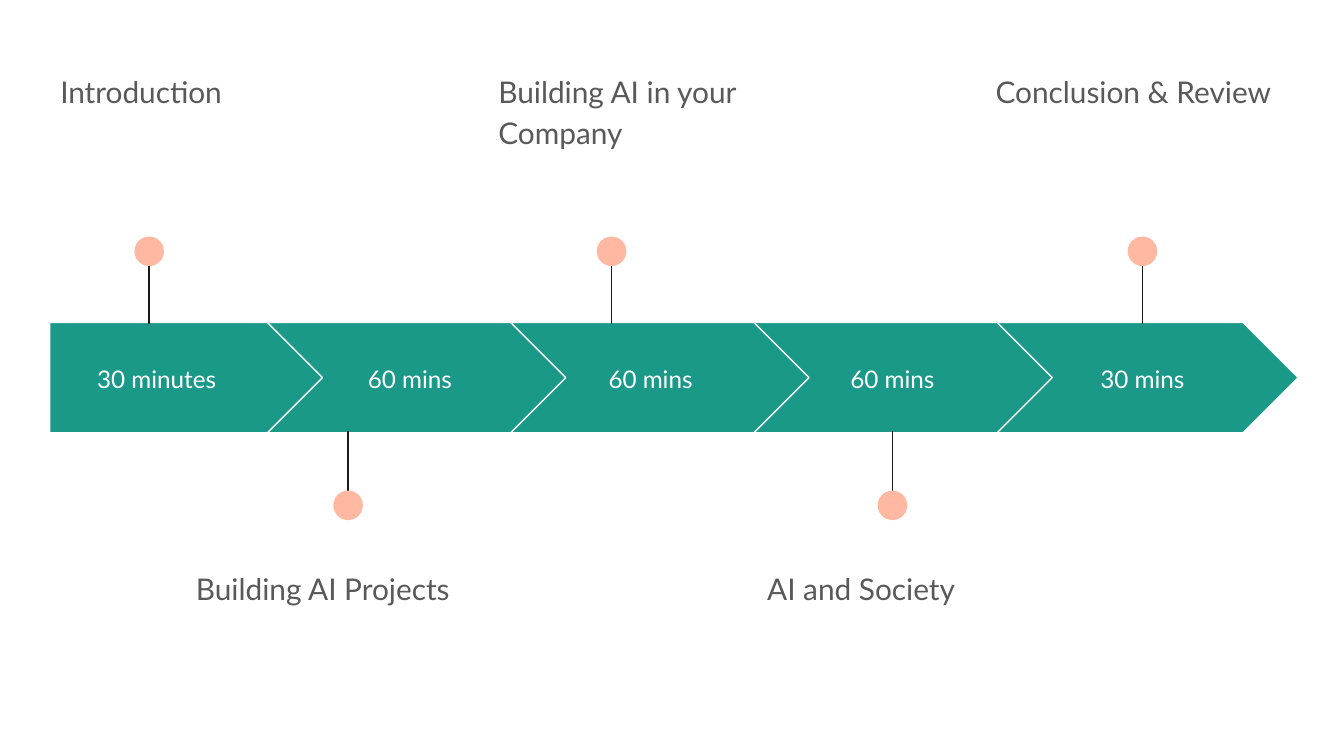
from pptx import Presentation
from pptx.dml.color import RGBColor
from pptx.enum.shapes import MSO_CONNECTOR as Connector, MSO_SHAPE as Shape
from pptx.enum.text import MSO_ANCHOR as Anchor, PP_ALIGN as Align
from pptx.oxml.ns import qn
from pptx.util import Inches, Pt

STAGES = [
    {"title": "Introduction", "duration": "30 minutes",
     "title_left": 0.35, "duration_left": 0.37, "pin": 1.11},
    {"title": "Building AI Projects", "duration": "60 mins",
     "title_left": 1.36, "duration_left": 2.33, "pin": 2.59},
    {"title": "Building AI in your Company", "duration": "60 mins",
     "title_left": 3.61, "duration_left": 4.12, "pin": 4.55},
    {"title": "AI and Society", "duration": "60 mins",
     "title_left": 5.61, "duration_left": 5.92, "pin": 6.64},
    {"title": "Conclusion & Review", "duration": "30 mins",
     "title_left": 7.31, "duration_left": 7.78, "pin": 8.5},
]
WIDTH = 10
HEIGHT = WIDTH * 9 / 16
TEAL, PEACH, WHITE, INK, GREY = "1A9988", "FFB8A2", "FFFFFF", "1A1A1A", "595959"
BAND_TOP, BAND_HEIGHT = 2.4, 0.82
FIRST_LEFT, FIRST_WIDTH = 0.37, 2.05
CHEVRON_LEFT, CHEVRON_WIDTH, CHEVRON_STEP = 1.99, 2.24, 1.81
DOT = 0.22
ABOVE = {"title_top": 0.41, "dot_top": 1.76, "start": 1.8, "end": 2.41}
BELOW = {"title_top": 4.11, "dot_top": 3.65, "start": 3.82, "end": 3.21}
TITLE = {"size": 16, "color": GREY, "anchor": Anchor.TOP,
         "format": {"alignment": Align.LEFT, "line_spacing": 1.15, "space_after": Pt(16)}}
DURATION = {"size": 13, "color": WHITE, "anchor": Anchor.MIDDLE,
            "format": {"alignment": Align.CENTER}}


def rgb(value):
    return RGBColor.from_string(value)


def add_filled(slide, kind, box, fill, outline=None):
    shape = slide.shapes.add_shape(kind, *map(Inches, box))
    shape.shadow.inherit = False
    shape.fill.solid()
    shape.fill.fore_color.rgb = rgb(fill)
    if outline:
        shape.line.color.rgb = rgb(outline)
        shape.line.width = Pt(0.75)
    else:
        shape.line.fill.background()


def add_label(slide, text, box, style):
    frame = slide.shapes.add_textbox(*map(Inches, box)).text_frame
    margins = dict.fromkeys(
        ("margin_left", "margin_top", "margin_right", "margin_bottom"), Inches(0.1))
    for name, value in {"word_wrap": True, "vertical_anchor": style["anchor"], **margins}.items():
        setattr(frame, name, value)
    paragraph = frame.paragraphs[0]
    for name, value in style["format"].items():
        setattr(paragraph, name, value)
    run = paragraph.add_run()
    run.text = text
    run.font.name = "Lato"
    run.font.size = Pt(style["size"])
    run.font.color.rgb = rgb(style["color"])


def add_pin(slide, centre, side):
    connector = slide.shapes.add_connector(
        Connector.STRAIGHT, *map(Inches, (centre, side["start"], centre, side["end"])))
    connector.line.color.rgb = rgb(INK)
    connector.line.width = Pt(0.75)
    properties = connector._element.spPr
    properties.append(properties.makeelement(qn("a:effectLst"), {}))
    add_filled(slide, Shape.OVAL, (centre - DOT / 2, side["dot_top"], DOT, DOT), PEACH)


def main():
    """Build the workshop timeline slide."""
    presentation = Presentation()
    presentation.slide_width, presentation.slide_height = Inches(WIDTH), Inches(HEIGHT)
    slide = presentation.slides.add_slide(presentation.slide_layouts[6])
    for index, stage in enumerate(STAGES):
        first = index == 0
        side = BELOW if index % 2 else ABOVE
        kind = Shape.PENTAGON if first else Shape.CHEVRON
        left = FIRST_LEFT if first else CHEVRON_LEFT + (index - 1) * CHEVRON_STEP
        width = FIRST_WIDTH if first else CHEVRON_WIDTH
        add_filled(slide, kind, (left, BAND_TOP, width, BAND_HEIGHT), TEAL, WHITE)
        duration_box = (stage["duration_left"], 2.56, 1.59 if first else 1.44, 0.51)
        add_label(slide, stage["duration"], duration_box, DURATION)
        add_pin(slide, stage["pin"], side)
        title_box = (stage["title_left"], side["title_top"], 2.45, 0.99)
        add_label(slide, stage["title"], title_box, TITLE)
    presentation.save("out.pptx")


if __name__ == "__main__":
    main()
